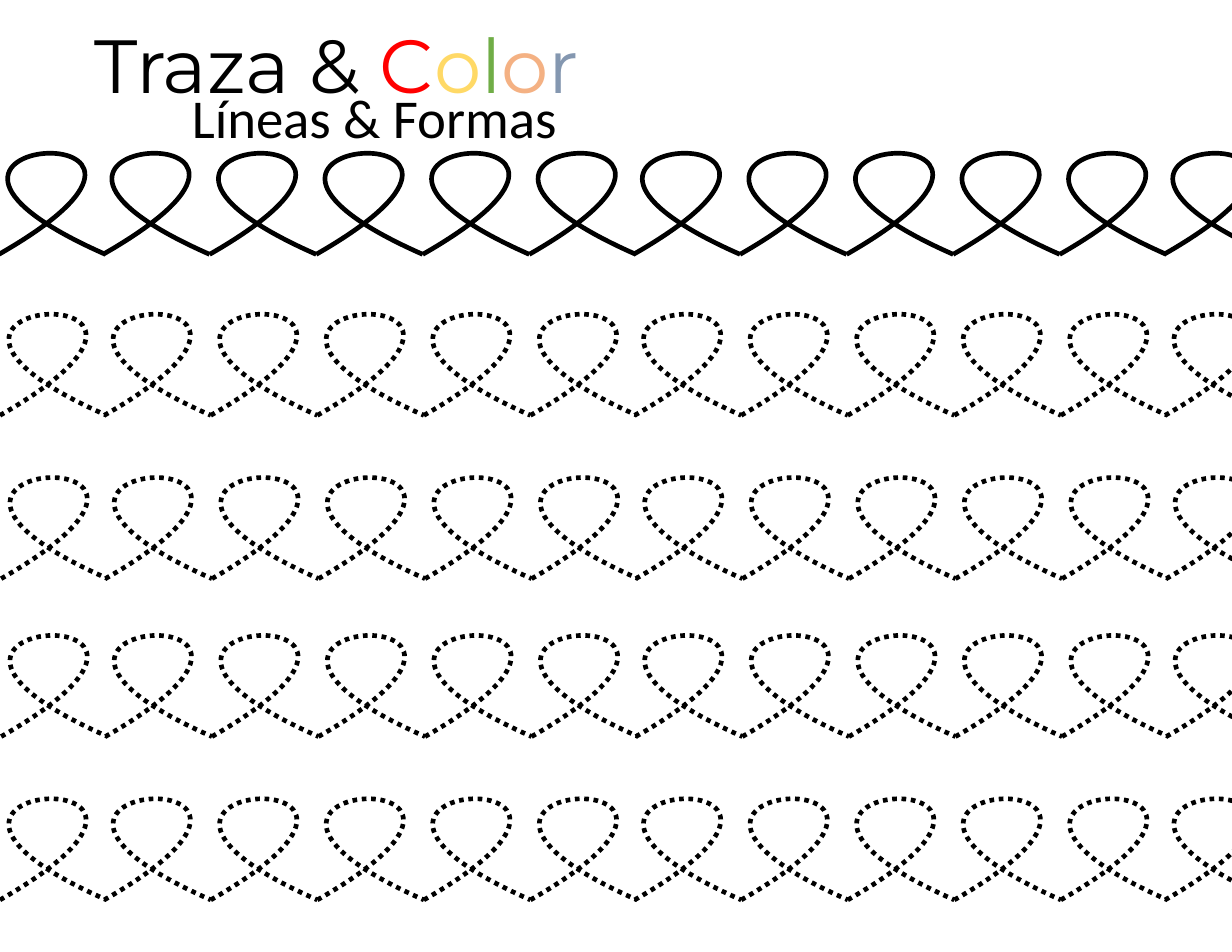
from pptx import Presentation
from pptx import util as u
from pptx.dml.color import RGBColor
from pptx.enum import dml, text
from pptx.oxml.ns import qn
from lxml import etree

Pt = u.Pt
INK = "000000"

# Content: text boxes as (left, top, width, height), font, size, align, runs
BOXES = [
    ((56, 50.5, 369, 49.5), "Calibri", 35.2, text.PP_ALIGN.CENTER,
     [("Líneas & Formas", INK)]),
    ((53.5, 8, 386, 66), "Montserrat", 48.4, text.PP_ALIGN.LEFT,
     [("Traza & ", INK), ("C", "FF0000"), ("o", "FFD966"), ("l", "70AD47"),
      ("o", "F4B183"), ("r", "8497B0")]),
]

# Rows of loops: left, top, dash
DOT = dml.MSO_LINE.ROUND_DOT
ROWS = [
    (-0.75, 98.5, None),
    (0, 202, DOT),
    (0.75, 307, DOT),
    (0.75, 408.5, DOT),
    (0, 513.5, DOT),
]
COUNT, PITCH = 12, 68.5
NUDGE = 1.5  # every fifth loop moves closer to its neighbour
WIDE, HIGH = 68.5, 65
CURVE = [(165.25, -29.5), (-109.75, -13.5), (WIDE, HIGH)]


def color(code):
    return RGBColor.from_string(code)


def add_loop(shapes, left, top, dash):
    pen = shapes.build_freeform(Pt(left), Pt(top + HIGH))
    pen.add_line_segments([(Pt(left + WIDE), Pt(top)),
                           (Pt(left + WIDE), Pt(top + HIGH))], close=False)
    loop = pen.convert_to_shape()
    # Swap the straight segments for one cubic curve
    track = loop._element.find(".//" + qn("a:path"))
    for part in track.findall(qn("a:lnTo")):
        track.remove(part)
    bend = etree.SubElement(track, qn("a:cubicBezTo"))
    for x, y in CURVE:
        etree.SubElement(bend, qn("a:pt"), x=str(int(Pt(x))), y=str(int(Pt(y))))
    loop.shadow.inherit = False
    loop.fill.background()
    loop.line.color.rgb = color(INK)
    loop.line.width = Pt(3)
    if dash:
        loop.line.dash_style = dash


def add_row(slide, left, top, dash):
    row = slide.shapes.add_group_shape()
    for i in reversed(range(COUNT)):
        shift = i * PITCH - (i + 4) // 5 * NUDGE
        add_loop(row.shapes, left + shift, top, dash)


def add_text(slide, place, font, size, align, runs):
    frame = slide.shapes.add_textbox(*map(Pt, place)).text_frame
    frame.word_wrap = True
    frame.auto_size = text.MSO_AUTO_SIZE.SHAPE_TO_FIT_TEXT
    para = frame.paragraphs[0]
    para.alignment = align
    for words, code in runs:
        run = para.add_run()
        run.text = words
        run.font.name = font
        run.font.size = Pt(size)
        run.font.color.rgb = color(code)


def main():
    deck = Presentation()
    deck.slide_width, deck.slide_height = Pt(792), Pt(612)
    slide = deck.slides.add_slide(deck.slide_layouts[6])
    for row in ROWS:
        add_row(slide, *row)
    for box in BOXES:
        add_text(slide, *box)
    deck.save("out.pptx")


if __name__ == "__main__":
    main()
